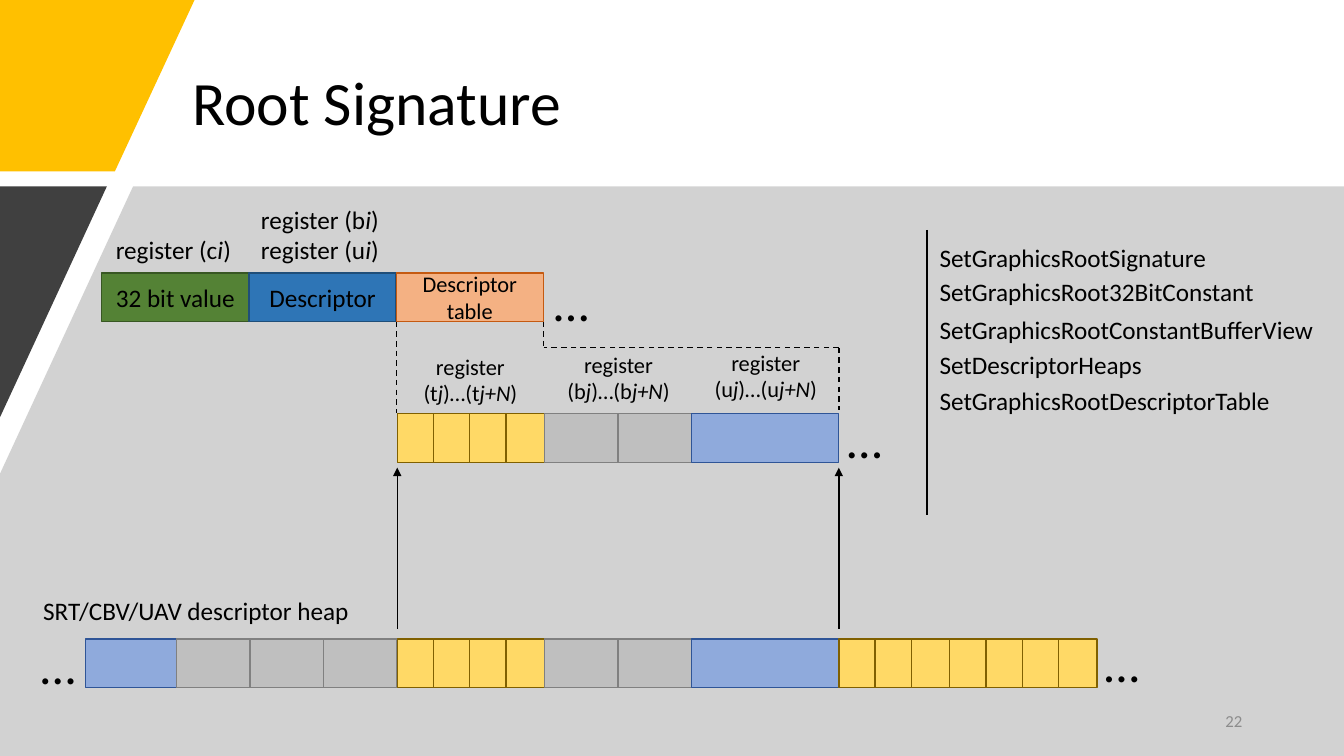
from lxml import etree
from pptx import Presentation
from pptx.dml.color import RGBColor
from pptx.enum.dml import MSO_LINE
from pptx.enum.shapes import MSO_CONNECTOR, MSO_SHAPE
from pptx.enum.text import MSO_ANCHOR as ANCHOR, MSO_AUTO_SIZE as AUTOSIZE, PP_ALIGN as ALIGN
from pptx.oxml.ns import qn
from pptx.util import Pt

PX = 9144  # 100 px to the inch
BLACK = "000000"
CENTER = ALIGN.CENTER

# Fill and border of each kind of descriptor
TEXTURE = ("FFD966", "806000")
BUFFER = ("BFBFBF", "808080")
UNORDERED = ("8FAADC", "2F5597")

TABLE_CELLS = [
    *((TEXTURE, width) for width in (36, 36, 36, 38)),
    *((BUFFER, 73),) * 2,
    (UNORDERED, 146),
]
HEAP_CELLS = [
    (UNORDERED, 90),
    *((BUFFER, 73),) * 3,
    *TABLE_CELLS,
    *((TEXTURE, width) for width in (36, 36, 38, 36, 36, 36, 38)),
]
TABLE_LEFT, TABLE_RIGHT = 394, 832


def color(hex_value):
    return RGBColor.from_string(hex_value)


class Canvas:
    def __init__(self, slide, font="Calibri"):
        self.shapes = slide.shapes
        self.font = font

    def typeset(self, frame, text, size, align=ALIGN.LEFT, ink=BLACK):
        """Fill a frame line by line; parts between asterisks are italic."""
        for number, line in enumerate(text.split("\n")):
            paragraph = frame.add_paragraph() if number else frame.paragraphs[0]
            paragraph.alignment = align
            for index, part in enumerate(line.split("*")):
                run = paragraph.add_run()
                run.text = part
                run.font.name = self.font
                run.font.size = Pt(size)
                run.font.italic = index % 2 == 1
                run.font.color.rgb = color(ink)

    def text(self, left, top, width, height, text, size, align=ALIGN.LEFT,
             ink=BLACK, wrap=False, anchor=ANCHOR.TOP, grow=True):
        box = self.shapes.add_textbox(left * PX, top * PX, width * PX, height * PX)
        frame = box.text_frame
        frame.word_wrap = wrap
        frame.vertical_anchor = anchor
        frame.auto_size = AUTOSIZE.SHAPE_TO_FIT_TEXT if grow else AUTOSIZE.NONE
        self.typeset(frame, text, size, align, ink)
        return frame

    def ellipsis(self, left, top):
        self.text(left, top, 85, 71, "…", 36, CENTER, wrap=True)

    def cell(self, left, top, width, height, style, text="", size=18):
        fill, border = style
        rect = self.shapes.add_shape(
            MSO_SHAPE.RECTANGLE, left * PX, top * PX, width * PX, height * PX)
        rect.shadow.inherit = False
        rect.fill.solid()
        rect.fill.fore_color.rgb = color(fill)
        rect.line.color.rgb = color(border)
        rect.line.width = Pt(1)
        if text:
            rect.text_frame.word_wrap = True
            rect.text_frame.vertical_anchor = ANCHOR.MIDDLE
            self.typeset(rect.text_frame, text, size, CENTER)

    def strip(self, left, top, height, cells):
        """Lay cells side by side from the left."""
        for style, width in cells:
            self.cell(left, top, width, height, style)
            left += width

    def polygon(self, points, fill, alpha=None):
        builder = self.shapes.build_freeform(*points[0], scale=PX)
        builder.add_line_segments(points[1:], close=True)
        area = builder.convert_to_shape()
        area.shadow.inherit = False
        area.fill.solid()
        area.fill.fore_color.rgb = color(fill)
        area.line.fill.background()
        if alpha is not None:
            tint = area._element.spPr.find(".//" + qn("a:srgbClr"))
            etree.SubElement(tint, qn("a:alpha"), val=str(alpha * 1000))

    def line(self, x1, y1, x2, y2, width=1, dashed=False, arrow=False):
        link = self.shapes.add_connector(
            MSO_CONNECTOR.STRAIGHT, x1 * PX, y1 * PX, x2 * PX, y2 * PX)
        link.line.color.rgb = color(BLACK)
        link.line.width = Pt(width)
        if dashed:
            link.line.dash_style = MSO_LINE.DASH
        if arrow:
            stroke = link._element.spPr.find(qn("a:ln"))
            etree.SubElement(stroke, qn("a:tailEnd"), type="triangle")
        etree.SubElement(link._element.spPr, qn("a:effectLst"))


def draw_frame(canvas):
    title = canvas.text(181, 40, 1024, 130, "Root Signature", 44, wrap=True,
                        anchor=ANCHOR.MIDDLE, grow=False)
    title.paragraphs[0].line_spacing = 0.9
    canvas.polygon([(0, 0), (193, 0), (114, 170), (0, 170)], "FFC000")
    canvas.polygon([(132, 185), (1333, 185), (1333, 750), (0, 750), (0, 470)],
                   "A6A6A6", alpha=50)
    canvas.polygon([(0, 185), (106, 185), (0, 414)], "404040")
    canvas.text(942, 695, 300, 40, "22", 12, ALIGN.RIGHT, "8C8C8C", wrap=True,
                anchor=ANCHOR.MIDDLE, grow=False)


def draw_calls(canvas):
    canvas.line(919, 228, 919, 511, width=1.5)
    for top, width, call in [
        (235, 287, "SetGraphicsRootSignature"),
        (269, 335, "SetGraphicsRoot32BitConstant"),
        (307, 395, "SetGraphicsRootConstantBufferView"),
        (342, 223, "SetDescriptorHeaps"),
        (377, 351, "SetGraphicsRootDescriptorTable"),
    ]:
        canvas.text(922, top, width, 40, call, 18)


def draw_signature(canvas):
    for left, top, width, letter in [(105, 228, 136, "c"), (249, 228, 138, "u"),
                                     (249, 198, 138, "b")]:
        canvas.text(left, top, width, 40, f"register ({letter}*i*)", 18)
    for index, (style, label, size) in enumerate([
        (("548235", "385723"), "32 bit value", 18),
        (("2E75B6", "1F4E79"), "Descriptor", 18),
        (("F4B183", "C55A11"), "Descriptor table", 16),
    ]):
        canvas.cell(101 + 146 * index, 271, 146, 48, style, label, size)
    canvas.ellipsis(524, 264)


def draw_table(canvas):
    for left, top, width, letter in [(409, 345, 115, "t"), (552, 343, 123, "b"),
                                     (698, 341, 123, "u")]:
        label = f"register\n({letter}*j*)…({letter}*j+N*)"
        canvas.text(left, top, width, 64, label, 16, CENTER)
    for ends in [(393, 319, 393, 410), (539, 319, 539, 343),
                 (TABLE_RIGHT, 345, 540, 345), (TABLE_RIGHT, 345, TABLE_RIGHT, 407)]:
        canvas.line(*ends, dashed=True)
    canvas.strip(TABLE_LEFT, 410, 49, TABLE_CELLS)
    canvas.ellipsis(815, 400)


def draw_heap(canvas):
    canvas.text(33, 586, 387, 40, "SRT/CBV/UAV descriptor heap", 18, wrap=True)
    canvas.strip(85, 634, 48, HEAP_CELLS)
    canvas.ellipsis(15, 624)
    canvas.ellipsis(1070, 622)
    for x in (TABLE_LEFT, TABLE_RIGHT):
        canvas.line(x, 624, x, 464, arrow=True)


def main():
    deck = Presentation()
    deck.slide_width, deck.slide_height = 1333 * PX, 750 * PX
    canvas = Canvas(deck.slides.add_slide(deck.slide_layouts[6]))
    for draw in (draw_frame, draw_calls, draw_signature, draw_table, draw_heap):
        draw(canvas)
    deck.save("out.pptx")


if __name__ == "__main__":
    main()
